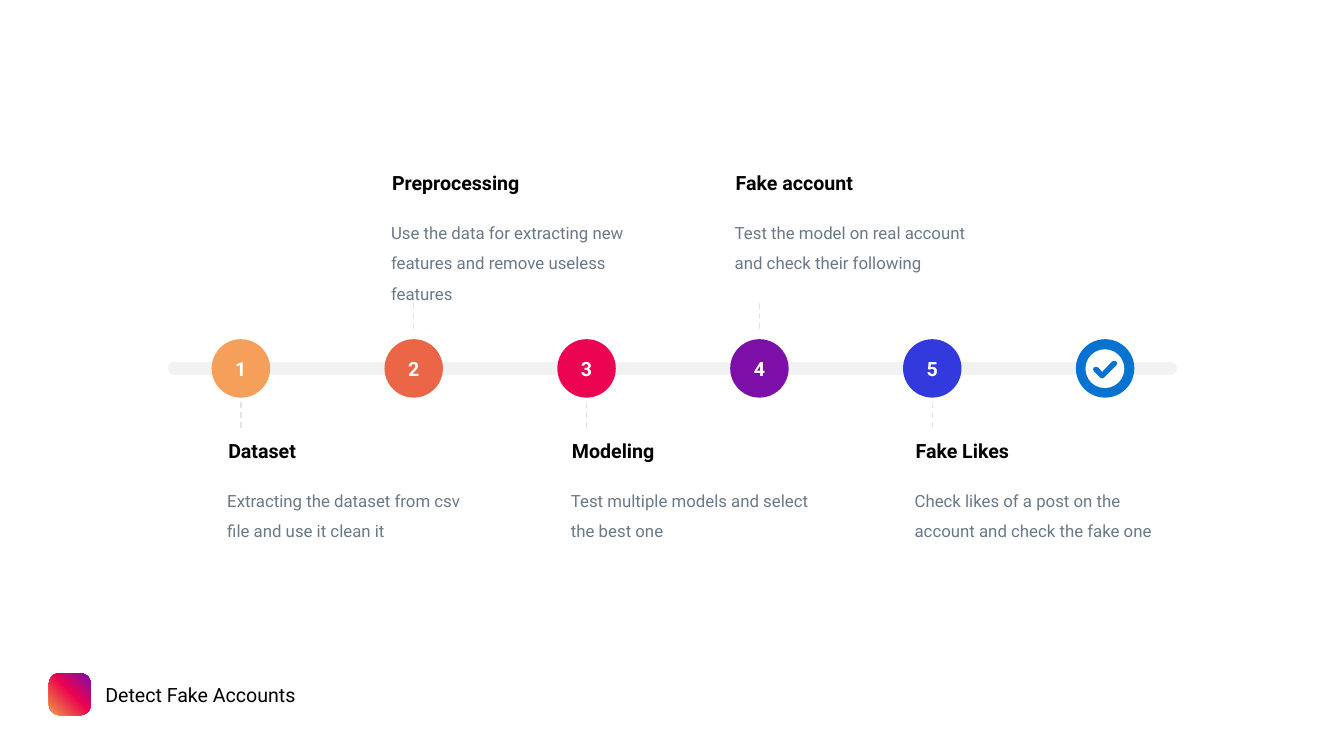
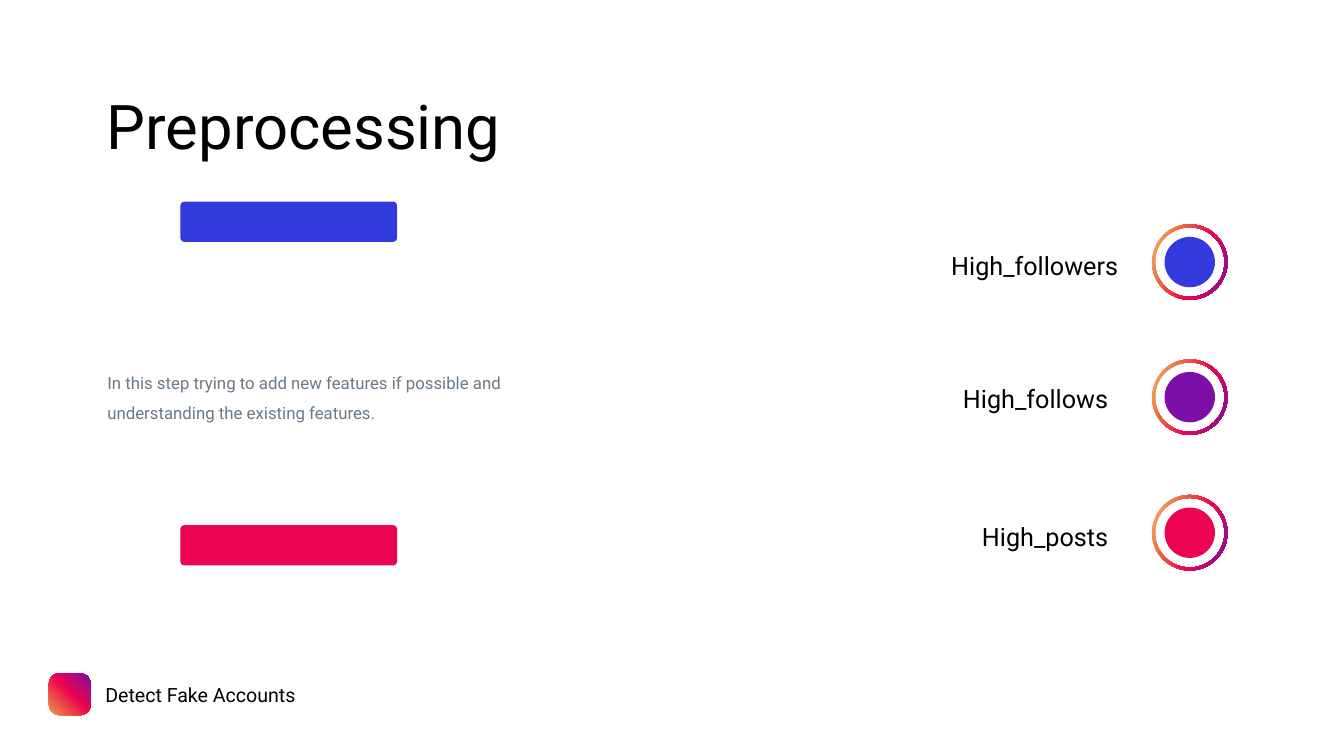
from lxml import etree
from pptx import Presentation
from pptx import util as u
from pptx.dml.color import RGBColor
from pptx.enum import dml, shapes, text
from pptx.oxml import ns

PX = 9144
FONT = "Roboto"
BLACK = RGBColor(0x00, 0x01, 0x00)
GRAY = RGBColor(0x69, 0x79, 0x87)
WHITE = RGBColor(0xFF, 0xFF, 0xFF)
TRACK = RGBColor(0xF3, 0xF2, 0xF2)
DASH = RGBColor(0xE0, 0xE4, 0xE9)
ORANGE = RGBColor(0xF5, 0x9F, 0x5A)
CORAL = RGBColor(0xEB, 0x66, 0x46)
RED = RGBColor(0xEC, 0x03, 0x51)
PURPLE = RGBColor(0x7B, 0x0F, 0xA8)
INDIGO = RGBColor(0x33, 0x3A, 0xDD)
BLUE = RGBColor(0x08, 0x72, 0xD1)
BLEND = (ORANGE, CORAL, RED, PURPLE)

TITLE = dict(size=88, color=BLACK, inset=4)
LABEL = dict(size=36, color=BLACK, inset=4, para=dict(alignment=text.PP_ALIGN.RIGHT))
FOOTER = dict(size=28, color=BLACK, inset=4)
HEADING = dict(size=28, color=BLACK, inset=6, bold=True)
BODY = dict(size=24, color=GRAY, inset=5, para=dict(line_spacing=1.5))
NUMBER = dict(size=28, color=WHITE, inset=6, bold=True,
              para=dict(alignment=text.PP_ALIGN.CENTER))

STEPS = [
    ("Dataset", "Extracting the dataset from csv file and use it clean it", ORANGE),
    ("Preprocessing", "Use the data for extracting new features and remove useless features", CORAL),
    ("Modeling", "Test multiple models and select the best one", RED),
    ("Fake account", "Test the model on real account and check their following", PURPLE),
    ("Fake Likes", "Check likes of a post on the account and check the fake one", INDIGO),
]
FEATURES = [
    ("High_followers", INDIGO, 20, 48),
    ("High_follows", PURPLE, 0, 44),
    ("High_posts", RED, 0, 48),
]
CHECK = [(61, 32), (37, 56), (33, 58), (29, 56), (17, 44), (15, 40), (17, 36),
         (21, 35), (25, 36), (33, 45), (53, 24), (57, 23), (61, 24), (63, 28)]


def px(*values):
    return [u.Emu(v * PX) for v in values]


def write(tf, words, style):
    for side in ("left", "top", "right", "bottom"):
        setattr(tf, f"margin_{side}", u.Emu(style["inset"] * PX))
    p = tf.paragraphs[0]
    for name, value in style.get("para", {}).items():
        setattr(p, name, value)
    r = p.add_run()
    r.text = words
    look = dict(name=FONT, size=u.Pt(style["size"]), bold=style.get("bold", False))
    for name, value in look.items():
        setattr(r.font, name, value)
    r.font.color.rgb = style["color"]


def add_text(s, box, words, style):
    tf = s.shapes.add_textbox(*px(*box)).text_frame
    tf.word_wrap = True
    tf.auto_size = text.MSO_AUTO_SIZE.SHAPE_TO_FIT_TEXT
    write(tf, words, style)


def paint(sp, color):
    sp.shadow.inherit = False
    sp.fill.solid()
    sp.fill.fore_color.rgb = color
    sp.line.fill.background()


def add_shape(s, kind, box, color, adj=None):
    sp = s.shapes.add_shape(kind, *px(*box))
    paint(sp, color)
    if adj is not None:
        sp.adjustments[0] = adj
    return sp


def blend(sp, stops, angle):
    sp.fill.gradient()
    sp.fill.gradient_angle = 360 - angle
    gs_list = sp._element.spPr.find(".//" + ns.qn("a:gsLst"))
    for gs in list(gs_list):
        gs_list.remove(gs)
    for stop, color in zip(stops, BLEND):
        gs = etree.SubElement(gs_list, ns.qn("a:gs"), pos=str(stop * 1000))
        etree.SubElement(gs, ns.qn("a:srgbClr"), val=str(color))


def add_dash(s, x, top, bottom):
    line = s.shapes.add_connector(shapes.MSO_CONNECTOR.STRAIGHT, *px(x, top, x, bottom))
    line.line.color.rgb = DASH
    line.line.width = u.Pt(2)
    line.line.dash_style = dml.MSO_LINE.DASH
    etree.SubElement(line._element.spPr, ns.qn("a:effectLst"))


def add_footer(s, x, y):
    mark = add_shape(s, shapes.MSO_SHAPE.ROUNDED_RECTANGLE, (x, y, 83, 83), RED, 0.25)
    blend(mark, (0, 19, 54, 100), 315)
    add_text(s, (x + 108, y + 14, 425, 56), "Detect Fake Accounts", FOOTER)


def add_step(s, x, y, number, step, text_x, above):
    heading, body, color = step
    size = 116
    text_y = y - 340 if above else y + 192
    add_text(s, (text_x, text_y + 84, 486, 125), body, BODY)
    add_text(s, (text_x + 1, text_y, 366, 58), heading, HEADING)
    dash_y = y - 71 if above else y + 125
    add_dash(s, x + size // 2, dash_y, dash_y + 57)
    disc = add_shape(s, shapes.MSO_SHAPE.OVAL, (x, y, size, size), color)
    disc.text_frame.vertical_anchor = text.MSO_ANCHOR.MIDDLE
    write(disc.text_frame, str(number), NUMBER)


def add_check(s, x, y):
    add_shape(s, shapes.MSO_SHAPE.OVAL, (x, y, 116, 116), BLUE)
    left, top = x + 19, y + 20
    add_shape(s, shapes.MSO_SHAPE.OVAL, (left, top, 77, 77), WHITE)
    points = [(left + dx, top + dy) for dx, dy in CHECK]
    builder = s.shapes.build_freeform(*points[0], scale=PX)
    builder.add_line_segments(points[1:], close=True)
    paint(builder.convert_to_shape(), BLUE)


def add_timeline(s, x, y):
    add_shape(s, shapes.MSO_SHAPE.ROUNDED_RECTANGLE, (x, y + 45, 2003, 26), TRACK, 0.5)
    first, pitch = x + 87, 343
    for i, step in enumerate(STEPS):
        above = i % 2 == 1
        text_x = x + 113 + 341 * i - 16 * above
        add_step(s, first + pitch * i, y, i + 1, step, text_x, above)
    add_check(s, first + pitch * len(STEPS), y)


def add_intro(s, x, y):
    add_text(s, (x, y, 1032, 157), "Preprocessing", TITLE)
    add_text(s, (x, y + 544, 917, 125),
             "In this step trying to add new features if possible "
             "and understanding the existing features.", BODY)
    for dy, color in ((230, INDIGO), (872, RED)):
        add_shape(s, shapes.MSO_SHAPE.ROUNDED_RECTANGLE,
                  (x + 150, y + dy, 430, 80), color, 0.1)


def add_features(s, x, y):
    for i, (label, color, dx, dy) in enumerate(FEATURES):
        top = y + 537 * i // 2
        add_text(s, (x + dx, top + dy, 919, 69), label, LABEL)
        ring = add_shape(s, shapes.MSO_SHAPE.DONUT, (x + 1002, top, 150, 150), RED, 0.04)
        blend(ring, (11, 30, 59, 99), 22)
        add_shape(s, shapes.MSO_SHAPE.OVAL, (x + 1027, top + 25, 100, 100), color)


def add_slide(prs):
    s = prs.slides.add_slide(prs.slide_layouts[6])
    add_footer(s, 97, 1336)
    return s


def main():
    prs = Presentation()
    prs.slide_width, prs.slide_height = px(2667, 1500)
    add_timeline(add_slide(prs), 333, 673)
    s = add_slide(prs)
    add_intro(s, 208, 170)
    add_features(s, 1284, 445)
    prs.save("out.pptx")


if __name__ == "__main__":
    main()
